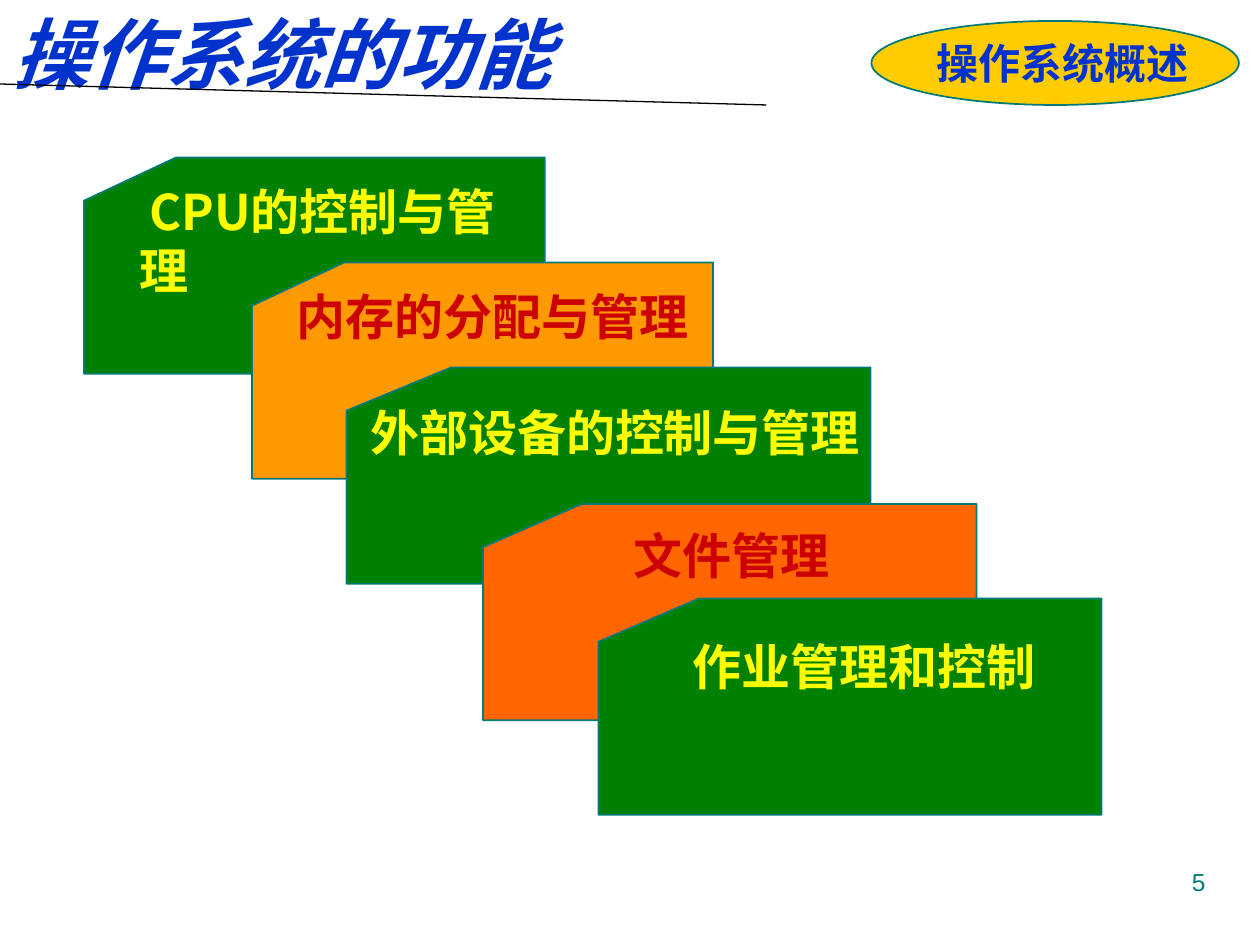
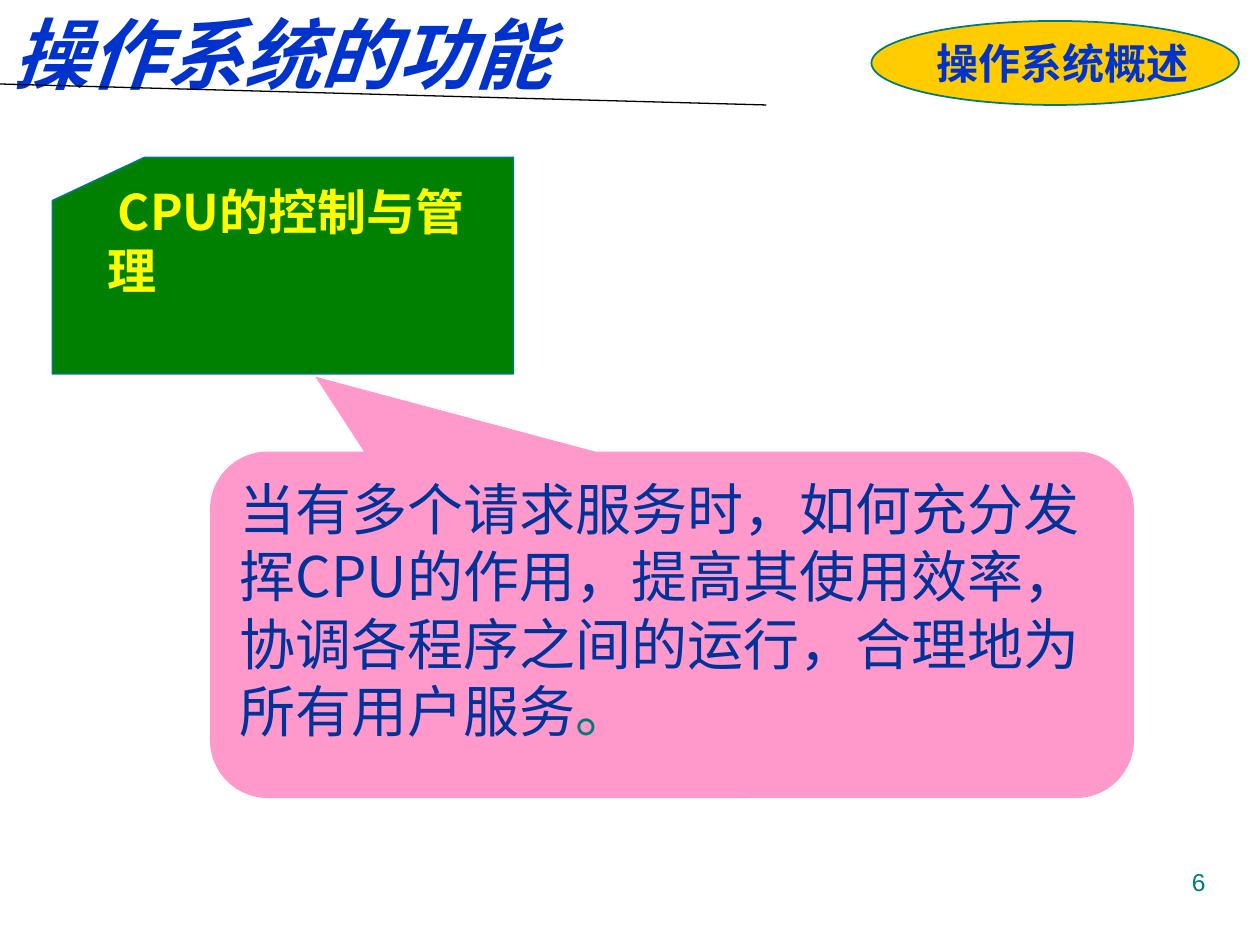
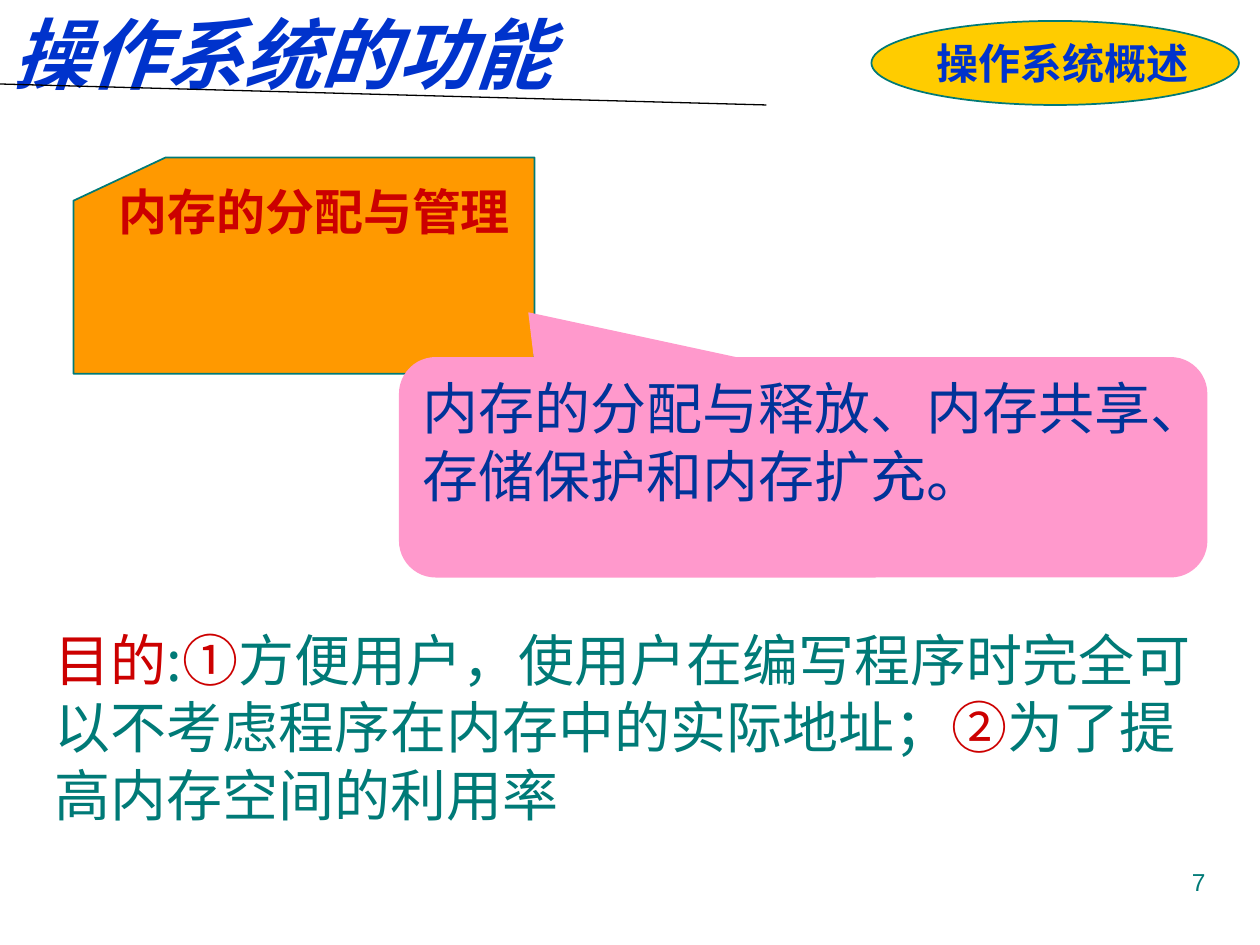
"""Build three slides on the functions of an operating system."""
from dataclasses import dataclass

from lxml import etree
from pptx import Presentation
from pptx import util as u
from pptx.dml.color import RGBColor
from pptx.enum import shapes, text
from pptx.oxml import ns


@dataclass(frozen=True)
class Theme:
    blue: str = "0033CC"
    navy: str = "003399"
    teal: str = "007A77"
    red: str = "CC0000"
    yellow: str = "FFFF00"
    green: str = "008000"
    amber: str = "FF9900"
    orange: str = "FF6600"
    gold: str = "FFCC00"
    pink: str = "FF99CC"
    black: str = "000000"
    serif: str = "Times New Roman"
    cjk: str = "Noto Sans CJK SC"
    sans: str = "Arial"
    title_size: int = 44
    body_size: int = 32
    card_size: int = 28
    badge_size: int = 24
    page_size: int = 14


theme = Theme()
presentation = Presentation()
presentation.slide_width = u.Inches(10)
presentation.slide_height = u.Inches(7.5)
COLUMN = presentation.slide_width / 120
ROW = presentation.slide_height / 90


def add_box(slide, box, kind=None, fill=None, line=None):
    """Place a shape, or a text box when no kind is given, on the grid."""
    left, top, width, height = box
    bounds = [round(size) for size in (left * COLUMN, top * ROW, width * COLUMN, height * ROW)]
    if kind is None:
        return slide.shapes.add_textbox(*bounds)
    shape = slide.shapes.add_shape(kind, *bounds)
    shape.shadow.inherit = False
    shape.fill.solid()
    shape.fill.fore_color.rgb = RGBColor.from_string(fill)
    if line:
        shape.line.color.rgb = RGBColor.from_string(line)
        shape.line.width = u.Pt(1)
    else:
        shape.line.fill.background()
    return shape


def write(shape, runs, size, name=theme.cjk, align=text.PP_ALIGN.LEFT, spacing=None, **style):
    """Fill a shape with one paragraph made of (words, colour) runs."""
    frame = shape.text_frame
    frame.word_wrap = True
    frame.vertical_anchor = text.MSO_ANCHOR.TOP
    paragraph = frame.paragraphs[0]
    paragraph.alignment = align
    paragraph.line_spacing = spacing
    formats = {"size": u.Pt(size), "name": name, **style}
    for words, color in runs:
        run = paragraph.add_run()
        run.text = words
        run.font.color.rgb = RGBColor.from_string(color)
        for attribute, value in formats.items():
            setattr(run.font, attribute, value)
        latin = run.font._element.find(ns.qn("a:latin"))
        east_asian = etree.Element(ns.qn("a:ea"), typeface=theme.cjk)
        latin.addnext(east_asian)
    return paragraph


cpu = dict(label="CPU的控制与管理", fill=theme.green, ink=theme.yellow, width=43.9,
           label_box=(4.1, 1.7, 39.6), indent=0.08)
memory = dict(label="内存的分配与管理", fill=theme.amber, ink=theme.red, width=43.9,
              label_box=(3.1, 1.7, 40))
devices = dict(label="外部设备的控制与管理", fill=theme.green, ink=theme.yellow, width=49.9,
               label_box=(1.1, 2.2, 49.4), spacing=1.1)
files = dict(label="文件管理", fill=theme.orange, ink=theme.red, width=47,
             label_box=(13.2, 0.9, 21.6), spacing=1.1)
jobs = dict(label="作业管理和控制", fill=theme.green, ink=theme.yellow, width=47.9,
            label_box=(7.8, 3, 35.4))

pages = [
    dict(number=5, cards=[(8, 15, cpu), (24, 25, memory), (33, 35, devices),
                          (46, 48, files), (57, 57, jobs)]),
    dict(number=6, cards=[(5, 15, cpu)],
         callout=dict(box=(20, 43, 88, 33), tip=(-0.386, -0.716, 0.167), runs=[
             ("当有多个请求服务时，如何充分发挥CPU的作用，提高其使用效率，"
              "协调各程序之间的运行，合理地为所有用户服务", theme.navy),
             ("。", theme.teal)])),
    dict(number=7, cards=[(7, 15, memory)],
         callout=dict(box=(38, 34, 77, 21), tip=(-0.34, -0.703, 0.167), runs=[
             ("内存的分配与释放、内存共享、存储保护和内存扩充。", theme.navy)]),
         purpose=[("目的", theme.red), (":", theme.teal), ("①", theme.red),
                  ("方便用户，使用户在编写程序时完全可以不考虑程序在内存中的实际地址；", theme.teal),
                  ("②", theme.red), ("为了提高内存空间的利用率", theme.teal)]),
]

for page in pages:
    slide = presentation.slides.add_slide(presentation.slide_layouts[6])

    title = add_box(slide, (0, 0, 62.4, 10))
    write(title, [("操作系统的功能", theme.blue)], theme.title_size, theme.serif,
          bold=True, italic=True)
    rule = slide.shapes.add_connector(shapes.MSO_CONNECTOR.STRAIGHT, 0, round(8 * ROW),
                                      round(73 * COLUMN), round(10 * ROW))
    rule.line.color.rgb = RGBColor.from_string(theme.black)
    rule.line.width = u.Pt(0.75)
    etree.SubElement(rule._element.spPr, ns.qn("a:effectLst"))

    for left, top, card in page["cards"]:
        add_box(slide, (left, top, card["width"], 20.6),
                shapes.MSO_SHAPE.FLOWCHART_CARD, card["fill"], theme.teal)
        shift, drop, width = card["label_box"]
        label = add_box(slide, (left + shift, top + drop, width, 7))
        paragraph = write(label, [(card["label"], card["ink"])], theme.card_size,
                          spacing=card.get("spacing"), bold=True)
        if "indent" in card:
            paragraph._p.get_or_add_pPr().set("indent", str(u.Inches(card["indent"])))

    add_box(slide, (83, 2, 35, 8), shapes.MSO_SHAPE.OVAL, theme.gold, theme.teal)
    badge = add_box(slide, (88, 3, 26.6, 6))
    write(badge, [("操作系统概述", theme.blue)], theme.badge_size, theme.serif, bold=True)

    if "callout" in page:
        callout = page["callout"]
        bubble = add_box(slide, callout["box"],
                         shapes.MSO_SHAPE.ROUNDED_RECTANGULAR_CALLOUT, theme.pink)
        for index, value in enumerate(callout["tip"]):
            bubble.adjustments[index] = value
        write(bubble, callout["runs"], theme.body_size)

    if "purpose" in page:
        purpose = add_box(slide, (4, 59, 111.1, 20.4))
        write(purpose, page["purpose"], theme.body_size)

    page_number = add_box(slide, (86, 82, 30, 6.25))
    write(page_number, [(str(page["number"]), theme.teal)], theme.page_size, theme.sans,
          text.PP_ALIGN.RIGHT)

presentation.save("out.pptx")
